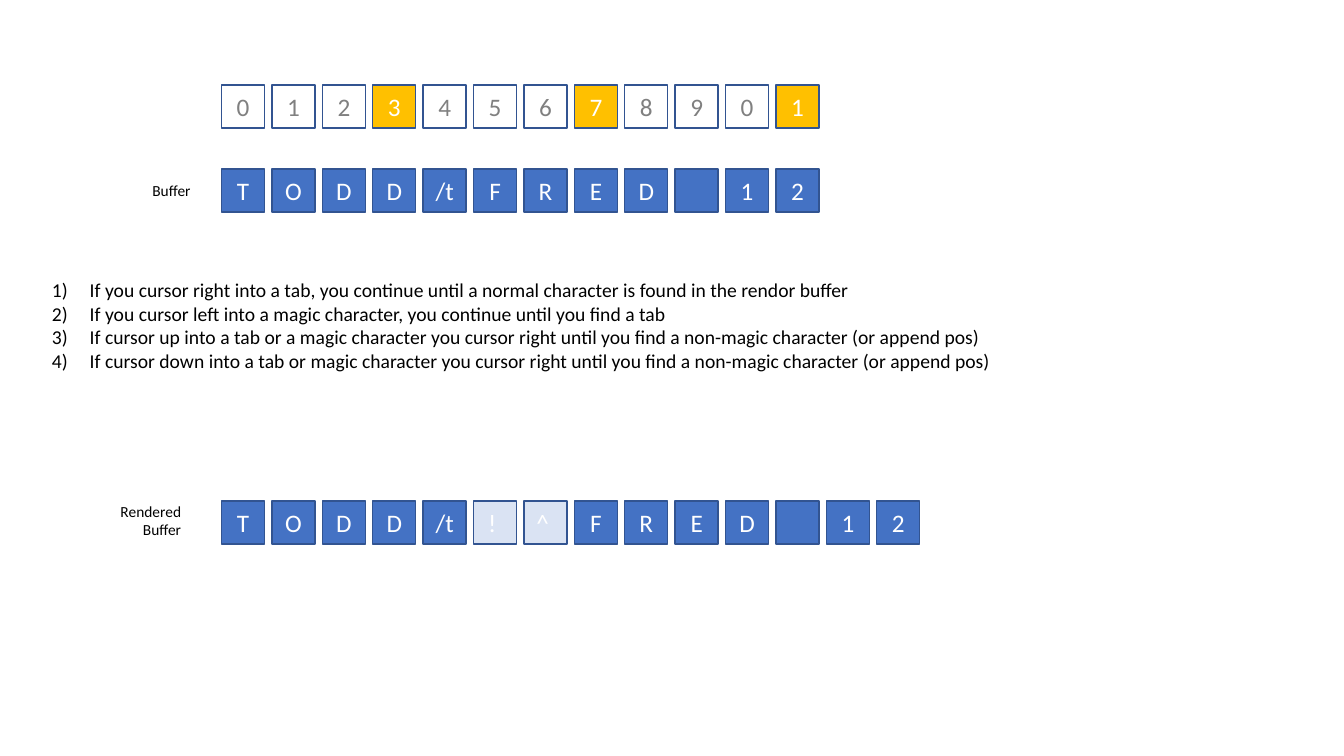
from lxml.etree import SubElement
from pptx import Presentation
from pptx.dml.color import RGBColor
from pptx.enum.shapes import MSO_SHAPE
from pptx.enum.text import MSO_ANCHOR, PP_ALIGN
from pptx.oxml.ns import qn
from pptx.util import Pt

EMU_PER_PX = 9525
CELL_LEFT, CELL_PITCH, CELL_SIZE = 211, 48, 41
COLORS = {
    "white": "FFFFFF",
    "black": "000000",
    "grey": "808080",
    "blue": "4472C4",
    "outline": "325491",
    "pale": "DAE3F3",
    "amber": "FFC000",
}
TAB_STOPS = (3, 7, 11)
BUFFER = ["T", "O", "D", "D", "/t", "F", "R", "E", "D", "", "1", "2"]
MAGIC = ["! ", "^ "]
RULES = [
    "If you cursor right into a tab, you continue until a normal character is found in the rendor buffer",
    "If you cursor left into a magic character, you continue until you find a tab",
    "If cursor up into a tab or a magic character you cursor right until you find a non-magic character (or append pos)",
    "If cursor down into a tab or magic character you cursor right until you find a non-magic character (or append pos)",
]


def px(length):
    """Convert pixels to EMU."""
    return length * EMU_PER_PX


def color(name):
    """Look up a palette colour."""
    return RGBColor.from_string(COLORS[name])


def write_text(frame, lines, size=18, ink="black", align=PP_ALIGN.LEFT, anchor=MSO_ANCHOR.TOP):
    """Fill a text frame with one formatted paragraph per line."""
    frame.word_wrap = True
    frame.vertical_anchor = anchor
    for index, line in enumerate(lines):
        paragraph = frame.add_paragraph() if index else frame.paragraphs[0]
        paragraph.alignment = align
        run = paragraph.add_run()
        run.text = line
        run.font.name = "Calibri"
        run.font.size = Pt(size)
        run.font.color.rgb = color(ink)


def number_paragraphs(frame, indent):
    """Number the paragraphs as 1), 2), 3) with a hanging indent."""
    for paragraph in frame.paragraphs:
        properties = paragraph._p.get_or_add_pPr()
        properties.set("marL", str(px(indent)))
        properties.set("indent", str(-px(indent)))
        SubElement(properties, qn("a:buFont"), typeface="+mj-lt")
        SubElement(properties, qn("a:buAutoNum"), type="arabicParenR")


def add_text(slide, left, top, width, height, lines, **text_format):
    """Add a text box and return its text frame."""
    box = slide.shapes.add_textbox(px(left), px(top), px(width), px(height))
    write_text(box.text_frame, lines, **text_format)
    return box.text_frame


def add_cell(slide, column, top, character, fill="blue", ink="white"):
    """Add one character cell on the column grid."""
    left = CELL_LEFT + column * CELL_PITCH
    shape = slide.shapes.add_shape(
        MSO_SHAPE.RECTANGLE, px(left), px(top), px(CELL_SIZE), px(CELL_SIZE))
    shape.shadow.inherit = False
    shape.fill.solid()
    shape.fill.fore_color.rgb = color(fill)
    shape.line.color.rgb = color("outline")
    shape.line.width = Pt(1)
    if character:
        write_text(shape.text_frame, [character], ink=ink,
                   align=PP_ALIGN.CENTER, anchor=MSO_ANCHOR.MIDDLE)


def add_ruler(slide, top):
    """Add the column digits with the tab stops highlighted."""
    for column in range(len(BUFFER)):
        fill, ink = ("amber", "white") if column in TAB_STOPS else ("white", "grey")
        add_cell(slide, column, top, str(column % 10), fill=fill, ink=ink)


def add_buffer(slide, top, characters):
    """Add a row of buffer characters, with magic ones in a pale fill."""
    for column, character in enumerate(characters):
        add_cell(slide, column, top, character, fill="pale" if character in MAGIC else "blue")


def main():
    """Build and save the slide."""
    presentation = Presentation()
    presentation.slide_width, presentation.slide_height = px(1280), px(720)
    slide = presentation.slides.add_slide(presentation.slide_layouts[6])

    after_tab = BUFFER.index("/t") + 1
    add_ruler(slide, 81)
    add_buffer(slide, 161, BUFFER)
    add_buffer(slide, 477, BUFFER[:after_tab] + MAGIC + BUFFER[after_tab:])

    add_text(slide, 96, 168, 95, 28, ["Buffer"], size=11, align=PP_ALIGN.RIGHT)
    add_text(slide, 0, 473, 182, 45, ["Rendered", "Buffer"], size=11, align=PP_ALIGN.RIGHT)
    rules = add_text(slide, 40, 260, 973, 100, RULES, size=14)
    number_paragraphs(rules, 36)

    presentation.save("out.pptx")


if __name__ == "__main__":
    main()
